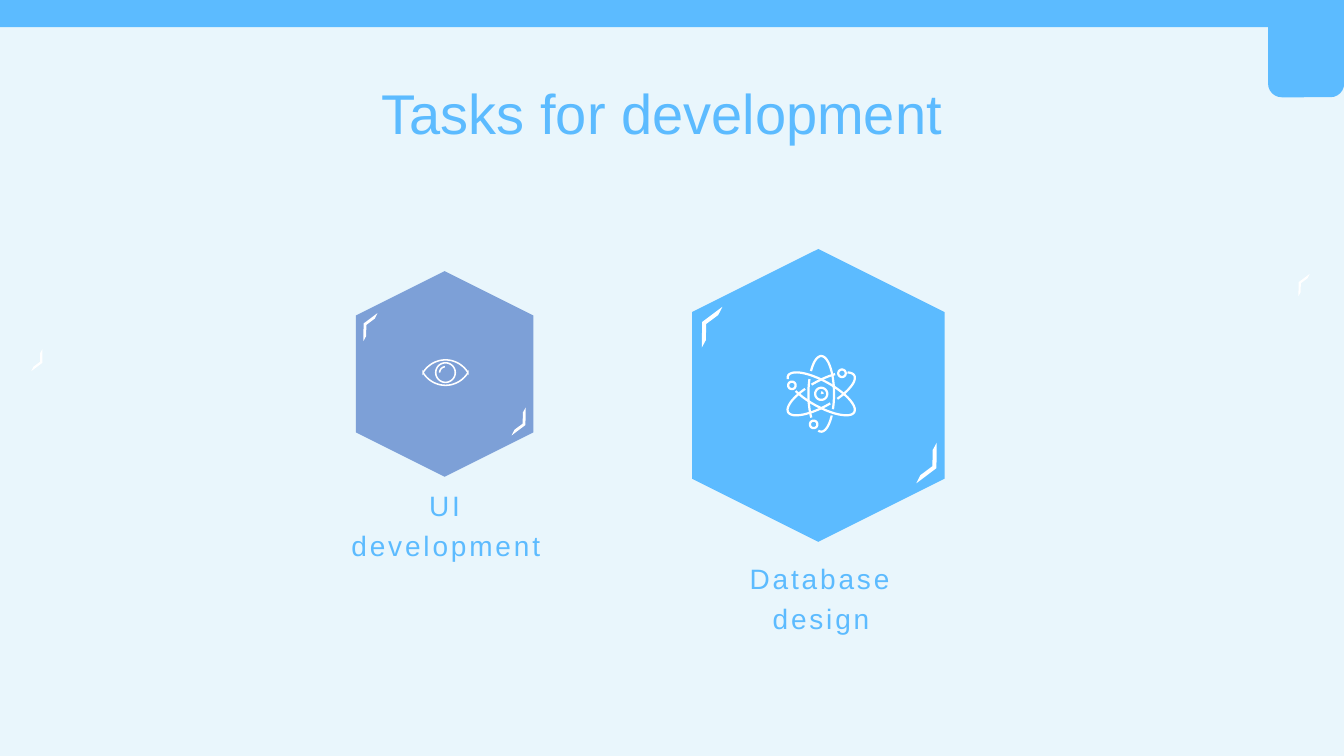
from dataclasses import dataclass
from math import cos, radians, sin

from lxml import etree
from pptx import Presentation
from pptx import util as u
from pptx.dml.color import RGBColor
from pptx.enum import shapes, text
from pptx.oxml import ns

# Grid of square cells, ten to the inch
CELL = u.Inches(0.1)
COLS, ROWS = 133.33, 75
FONT = "Arial"
COLORS = {"page": "E9F6FC", "sky": "5CBBFF", "indigo": "4472C4", "mark": "FFFFFF"}
KINDS = shapes.MSO_SHAPE
Point = tuple[float, float]

# Chevron outline, in cells from its inner corner
CHEVRON = [(0, 0), (2, -1.5), (1.6, -0.7), (0.4, 0.2), (0.37, 1.8), (-0.03, 2.53)]


@dataclass
class Block:
    kind: shapes.MSO_SHAPE
    col: float
    row: float
    cols: float
    rows: float
    color: str
    turn: float = 0
    opacity: int = 100


@dataclass
class Label:
    words: str
    col: float
    row: float
    cols: float
    rows: float
    size: int
    line_spacing: float = 1.0
    tracking: int = 0


@dataclass
class Chevron:
    col: float
    row: float
    scale: float  # a negative scale points the other way


@dataclass
class Arc:
    col: float
    row: float
    radius: float
    minor: float
    tilt: float = 0
    start: int = 0
    end: int = 360


@dataclass
class Icon:
    weight: float
    contours: list[list[Arc]]  # arcs of one contour are joined


def circle(col: float, row: float, radius: float) -> list[Arc]:
    return [Arc(col, row, radius, radius)]


# Page background and header
PAGE = [
    Block(KINDS.RECTANGLE, 0, 0, COLS, ROWS, "page"),
    Block(KINDS.RECTANGLE, 0, 0, COLS, 2.7, "sky"),
    Block(KINDS.ROUNDED_RECTANGLE, 125.8, 1.4, 7.55, 8.25, "sky"),
]
# Task hexagons
TASKS = [
    Block(KINDS.HEXAGON, 66.65, 26.7, 29.05, 25.05, "sky", 90),
    Block(KINDS.HEXAGON, 33.9, 28.3, 20.4, 17.6, "indigo", 90, 65),
]
LABELS = [
    Label("Tasks for development", 32.93, 7.3, 65.43, 7.7, 40),
    Label("Database design", 71.1, 54.55, 20.7, 9.1, 20, 1.2, 200),
    Label("UI development", 32.38, 47.3, 23.7, 9.1, 20, 1.2, 200),
]
CHEVRONS = [
    Chevron(69.66, 31.95, 1), Chevron(92.9, 46.45, -1),
    Chevron(36.07, 32.1, 0.69), Chevron(52.13, 42.17, -0.69),
    Chevron(128.83, 28, 0.55), Chevron(4.2, 36, -0.55),
]

# Atom: three tilted orbits, each broken where others or electrons cross it
ATOM = (81.47, 39.07)
ORBITS = {
    90: [(127, 294), (305, 373), (51, 113)],
    29: [(165, 489)],
    -29: [(-28, 72), (85, 252), (264, 305)],
}
ELECTRONS = [(80.72, 42.1), (78.56, 38.23), (83.53, 37.03)]
ATOM_ICON = Icon(1.6, [
    *([Arc(*ATOM, 3.75, 1.27, tilt, start, end)]
      for tilt, spans in ORBITS.items() for start, end in spans),
    *(circle(col, row, 0.37) for col, row in ELECTRONS),
    circle(*ATOM, 0.6),
    [Arc(*ATOM, 0.13, 0.13, 0, 270, 360)],
])

# Eye: two lids, an iris and a glint
EYE = (44.2, 36.97)
LID, LID_SHIFT = 2.6, 1.34
EYE_ICON = Icon(1.1, [
    [Arc(EYE[0], EYE[1] + LID_SHIFT, LID, LID, 0, 211, 329),
     Arc(EYE[0], EYE[1] - LID_SHIFT, LID, LID, 0, 31, 149)],
    circle(*EYE, 0.97),
    [Arc(*EYE, 0.58, 0.58, 0, 180, 265)],
])


def cells(*counts: float) -> list[int]:
    return [round(count * CELL) for count in counts]


def rgb(color: str) -> RGBColor:
    return RGBColor.from_string(COLORS[color])


def draw_block(slide, block: Block) -> None:
    shape = slide.shapes.add_shape(
        block.kind, *cells(block.col, block.row, block.cols, block.rows))
    shape.shadow.inherit = False
    shape.rotation = block.turn
    shape.line.fill.background()
    shape.fill.solid()
    shape.fill.fore_color.rgb = rgb(block.color)
    if block.kind == KINDS.ROUNDED_RECTANGLE:
        shape.adjustments[0] = 0.18
    if block.opacity < 100:
        fill_color = shape._element.spPr.find(".//" + ns.qn("a:srgbClr"))
        alpha = etree.SubElement(fill_color, ns.qn("a:alpha"))
        alpha.set("val", str(block.opacity * 1000))


def draw_label(slide, label: Label) -> None:
    box = slide.shapes.add_textbox(*cells(label.col, label.row, label.cols, label.rows))
    frame = box.text_frame
    frame.text = label.words
    frame.word_wrap = True
    frame.auto_size = text.MSO_AUTO_SIZE.SHAPE_TO_FIT_TEXT
    line = frame.paragraphs[0]
    line.alignment = text.PP_ALIGN.CENTER
    line.line_spacing = label.line_spacing
    run = line.runs[0]
    run.font.name, run.font.size = FONT, u.Pt(label.size)
    run.font.color.rgb = rgb("sky")
    if label.tracking:
        run._r.get_or_add_rPr().set("spc", str(label.tracking))


def draw_outline(slide, contours: list[tuple[list[Point], bool]]):
    builder = slide.shapes.build_freeform(*cells(*contours[0][0][0]))
    for index, (points, closed) in enumerate(contours):
        first, *rest = [cells(*point) for point in points]
        if index:
            builder.move_to(*first)
        builder.add_line_segments(rest, close=closed)
    outline = builder.convert_to_shape()
    outline.shadow.inherit = False
    return outline


def draw_chevron(slide, chevron: Chevron) -> None:
    points = [(chevron.col + x * chevron.scale, chevron.row + y * chevron.scale)
              for x, y in CHEVRON]
    mark = draw_outline(slide, [(points, True)])
    mark.fill.solid()
    mark.fill.fore_color.rgb = rgb("mark")
    mark.line.fill.background()


def arc_points(arc: Arc, steps: int = 40) -> list[Point]:
    tilt, points = radians(arc.tilt), []
    for step in range(steps + 1):
        angle = radians(arc.start + (arc.end - arc.start) * step / steps)
        along, across = arc.radius * cos(angle), arc.minor * sin(angle)
        points.append((arc.col + along * cos(tilt) - across * sin(tilt),
                       arc.row + along * sin(tilt) + across * cos(tilt)))
    return points


def draw_icon(slide, icon: Icon) -> None:
    contours = []
    for arcs in icon.contours:
        points = [point for arc in arcs for point in arc_points(arc)]
        closed = len(arcs) > 1 or arcs[0].end - arcs[0].start == 360
        contours.append((points, closed))
    drawing = draw_outline(slide, contours)
    drawing.fill.background()
    drawing.line.color.rgb = rgb("mark")
    drawing.line.width = u.Pt(icon.weight)
    # Sharp corners where the lids meet
    miter = etree.SubElement(drawing.line._get_or_add_ln(), ns.qn("a:miter"))
    miter.set("lim", "800000")


def main() -> None:
    deck = Presentation()
    deck.slide_width, deck.slide_height = cells(COLS, ROWS)
    slide = deck.slides.add_slide(deck.slide_layouts[6])
    for block in PAGE + TASKS:
        draw_block(slide, block)
    for chevron in CHEVRONS:
        draw_chevron(slide, chevron)
    for label in LABELS:
        draw_label(slide, label)
    for icon in (ATOM_ICON, EYE_ICON):
        draw_icon(slide, icon)
    deck.save("out.pptx")


if __name__ == "__main__":
    main()
